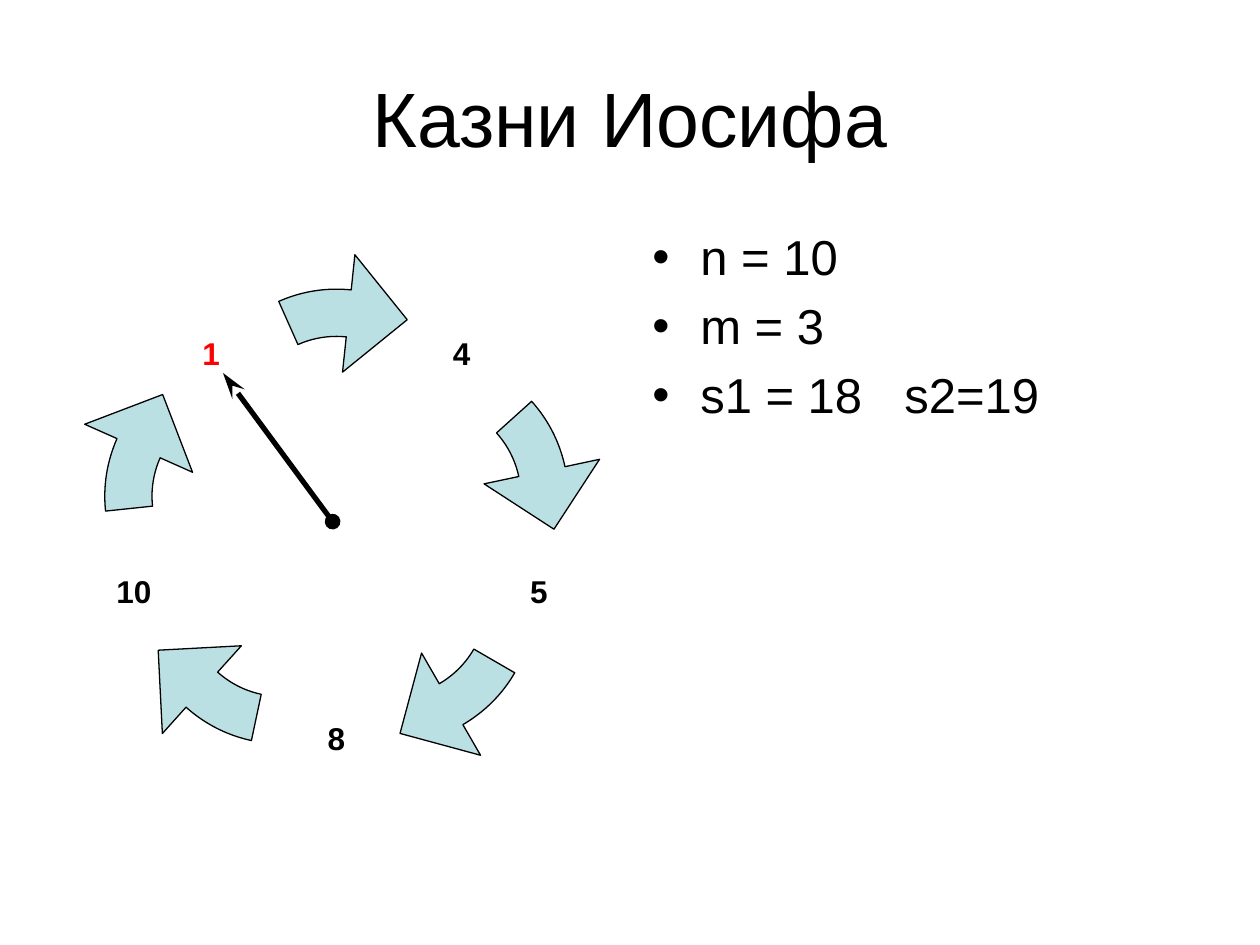
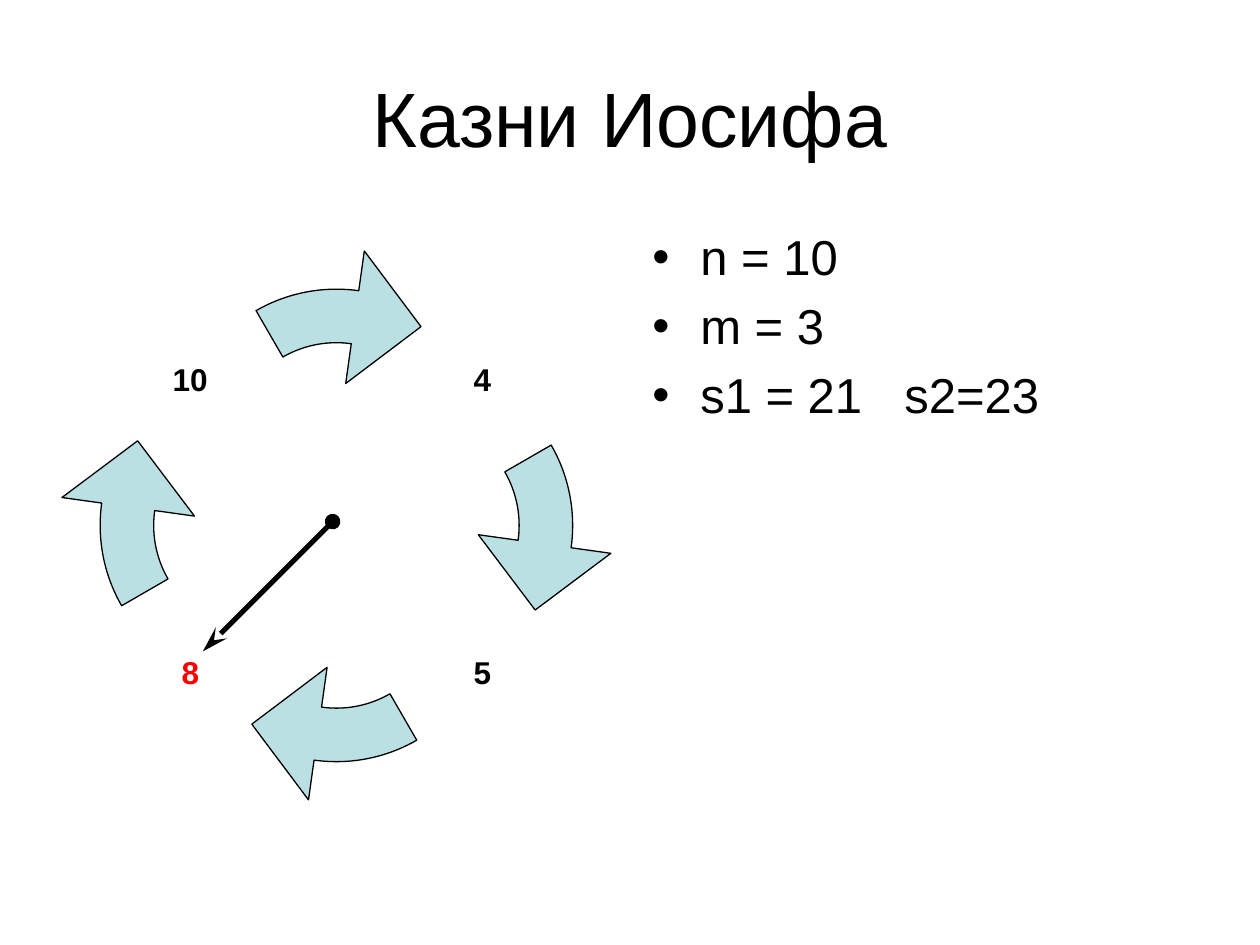
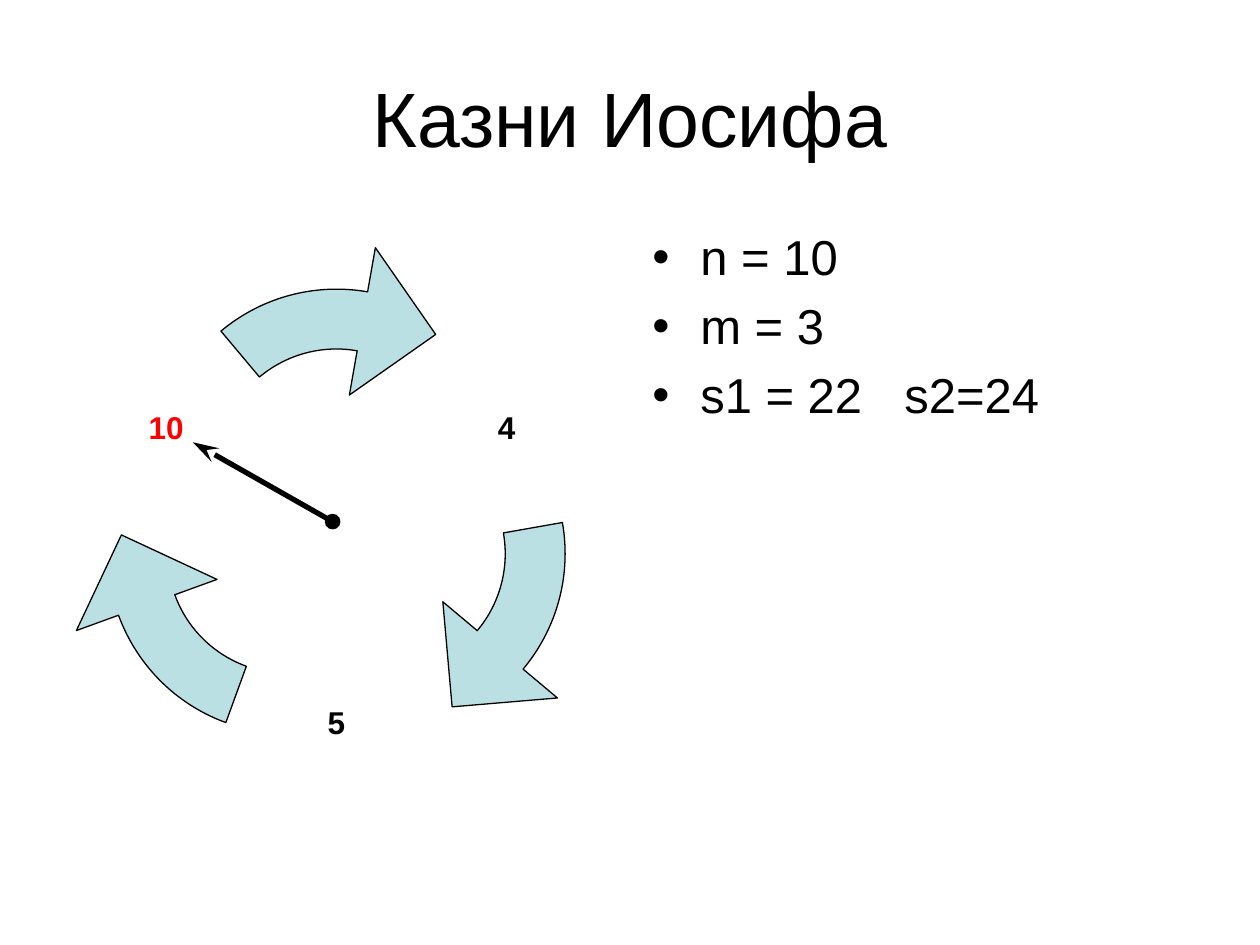
"""Builds three slides that step through the Josephus elimination circle."""
import math

import pptx
import pptx.dml.color
import pptx.enum.shapes
import pptx.enum.text
import pptx.oxml
import pptx.oxml.ns
import pptx.util
from pptx.util import Inches

COLOURS = {"text": "000000", "marked": "FF0000", "arrow": "BBE0E3", "line": "000000"}
FONT = "Arial"
RING_CENTRE = (2.67, 4.17)
RING_UNIT = 0.15
RING_UNITS = 12.5
POINTER_START = (2.64, 4.14)
NAMESPACE = pptx.oxml.ns.nsdecls("a")

STEPS = [
    {"people": [4, 5, 8, 10, 1], "marked": 1, "pointer": (1.77, 2.96),
     "label_radius": 1.69, "label_size": 0.83, "sums": "s1 = 18\ts2=19"},
    {"people": [4, 5, 8, 10], "marked": 8, "pointer": (1.61, 5.17),
     "label_radius": 1.64, "label_size": 0.96, "sums": "s1 = 21\ts2=23"},
    {"people": [4, 5, 10], "marked": 10, "pointer": (1.53, 3.51),
     "label_radius": 1.56, "label_size": 1.14, "sums": "s1 = 22\ts2=24"},
]


def rgb(name):
    """Return the named palette colour."""
    return pptx.dml.color.RGBColor.from_string(COLOURS[name])


def polar(centre, radius, degrees):
    """Return the point at a clockwise angle from twelve o'clock."""
    angle = math.radians(degrees)
    return centre[0] + radius * math.sin(angle), centre[1] - radius * math.cos(angle)


def arc(centre, radius, start, end):
    """Return the three Bezier points that continue an arc from start to end."""
    handle = 4 / 3 * math.tan(math.radians(end - start) / 4)
    lean = math.degrees(math.atan(handle))
    reach = radius * math.hypot(1, handle)
    return [polar(centre, reach, start + lean), polar(centre, reach, end - lean),
            polar(centre, radius, end)]


def path_command(tag, points):
    """Return one drawing command of a path."""
    marks = "".join(f'<a:pt x="{Inches(x)}" y="{Inches(y)}"/>' for x, y in points)
    return pptx.oxml.parse_xml(f"<a:{tag} {NAMESPACE}>{marks}</a:{tag}>")


class Deck:
    """Holds the presentation style and the current slide."""

    def __init__(self):
        """Start an empty 4:3 presentation."""
        self.presentation = pptx.Presentation()
        self.presentation.slide_width = Inches(10)
        self.presentation.slide_height = Inches(7.5)
        self.slide = None

    def style(self, paragraph, size, colour="text", bold=False):
        """Format a whole paragraph."""
        font = paragraph.font
        font.name, font.size, font.bold = FONT, pptx.util.Pt(size), bold
        font.color.rgb = rgb(colour)

    def new_slide(self, heading):
        """Add a slide with its title."""
        self.slide = self.presentation.slides.add_slide(self.presentation.slide_layouts[5])
        title = self.slide.shapes.title
        title.left, title.top = Inches(0.5), Inches(0.3)
        title.width, title.height = Inches(9), Inches(1.25)
        title.text_frame.text = heading
        title.text_frame.vertical_anchor = pptx.enum.text.MSO_ANCHOR.MIDDLE
        paragraph = title.text_frame.paragraphs[0]
        paragraph.alignment = pptx.enum.text.PP_ALIGN.CENTER
        self.style(paragraph, 44)

    def bullets(self, items):
        """Add the bulleted list on the right."""
        box = self.slide.shapes.add_textbox(
            Inches(5.08), Inches(1.75), Inches(4.42), Inches(4.95))
        frame = box.text_frame
        frame.word_wrap = True
        frame.text = "\n".join(items)
        for index, paragraph in enumerate(frame.paragraphs):
            properties = paragraph._p.get_or_add_pPr()
            properties.set("marL", str(Inches(0.38)))
            properties.set("indent", str(Inches(-0.38)))
            for mark in (f'buFont {NAMESPACE} typeface="{FONT}"',
                         f'buChar {NAMESPACE} char="•"'):
                properties.append(pptx.oxml.parse_xml(f"<a:{mark}/>"))
            if index:
                paragraph.space_before = pptx.util.Pt(5.8)
            self.style(paragraph, 28)

    def label(self, text, centre, size, colour):
        """Add a bold number centred on a point."""
        box = self.slide.shapes.add_textbox(
            Inches(centre[0] - size / 2), Inches(centre[1] - size / 2),
            Inches(size), Inches(size))
        frame = box.text_frame
        frame.margin_left = frame.margin_right = frame.margin_top = frame.margin_bottom = 0
        frame.word_wrap = True
        frame.vertical_anchor = pptx.enum.text.MSO_ANCHOR.MIDDLE
        frame.text = text
        paragraph = frame.paragraphs[0]
        paragraph.alignment = pptx.enum.text.PP_ALIGN.CENTER
        self.style(paragraph, 18, colour, bold=True)

    def curved_arrow(self, turn, count):
        """Add one clockwise block arrow of the ring."""
        radius = RING_UNIT * (RING_UNITS - count)
        inner = radius * 2 / 3
        tail, neck = -120 / count, 16 - 2 * count
        middle = (radius, radius)
        start = polar(middle, inner, neck)
        corners = [polar(middle, radius * 1.25, neck),
                   polar(middle, radius * 0.93, neck + 26.5),
                   polar(middle, radius * 5 / 12, neck)]
        commands = [
            ("moveTo", [start]),
            ("cubicBezTo", arc(middle, inner, neck, 0)),
            ("cubicBezTo", arc(middle, inner, 0, tail)),
            ("lnTo", [polar(middle, radius, tail)]),
            ("cubicBezTo", arc(middle, radius, tail, 0)),
            ("cubicBezTo", arc(middle, radius, 0, neck)),
            *(("lnTo", [corner]) for corner in corners),
            ("lnTo", [start]),
            ("close", []),
        ]
        builder = self.slide.shapes.build_freeform(*map(Inches, start))
        builder.add_line_segments([tuple(map(Inches, corner)) for corner in corners])
        shape = builder.convert_to_shape()
        outline = next(shape._element.iter(pptx.oxml.ns.qn("a:path")))
        for command in list(outline):
            outline.remove(command)
        for tag, points in commands:
            outline.append(path_command(tag, points))
        side = Inches(2 * radius)
        outline.set("w", str(side))
        outline.set("h", str(side))
        x, y = polar(RING_CENTRE, RING_UNIT * count, turn)
        shape.left, shape.top = Inches(x - radius), Inches(y - radius)
        shape.width = shape.height = side
        shape.rotation = turn
        shape.shadow.inherit = False
        shape.fill.solid()
        shape.fill.fore_color.rgb = rgb("arrow")
        shape.line.color.rgb = rgb("line")
        shape.line.width = pptx.util.Pt(0.75)

    def ring(self, people, marked, label_radius, label_size):
        """Add the arrows and the numbers between them."""
        count = len(people)
        turns = [360 * i / count for i in range(count)]
        for turn in turns:
            self.curved_arrow(turn, count)
        for person, turn in zip(people, turns):
            self.label(str(person), polar(RING_CENTRE, label_radius, turn + 180 / count),
                       label_size, "marked" if person == marked else "text")

    def pointer(self, end):
        """Add the hand that points at the marked number."""
        hand = self.slide.shapes.add_connector(
            pptx.enum.shapes.MSO_CONNECTOR.STRAIGHT,
            *(Inches(value) for value in (*POINTER_START, *end)))
        hand.line.color.rgb = rgb("line")
        hand.line.width = pptx.util.Pt(3)
        properties = hand._element.spPr
        outline = properties.find(pptx.oxml.ns.qn("a:ln"))
        for mark in (f'headEnd {NAMESPACE} type="oval"',
                     f'tailEnd {NAMESPACE} type="stealth" w="med" len="lg"'):
            outline.append(pptx.oxml.parse_xml(f"<a:{mark}/>"))
        properties.append(pptx.oxml.parse_xml(f"<a:effectLst {NAMESPACE}/>"))


def main():
    """Build every step and save the file."""
    deck = Deck()
    for step in STEPS:
        deck.new_slide("Казни Иосифа")
        deck.bullets(["n = 10", "m = 3", step["sums"]])
        deck.ring(step["people"], step["marked"], step["label_radius"], step["label_size"])
        deck.pointer(step["pointer"])
    deck.presentation.save("out.pptx")


if __name__ == "__main__":
    main()
